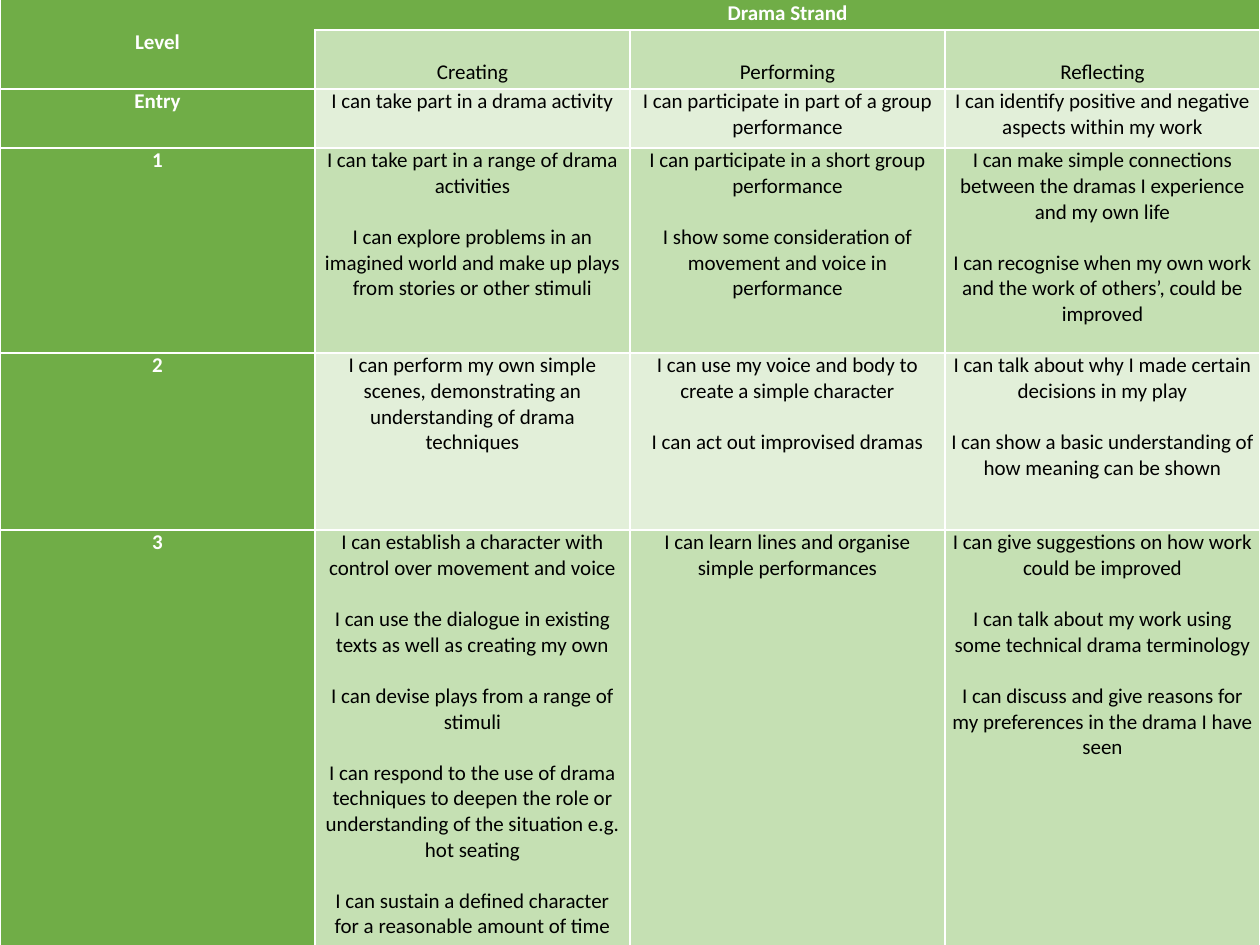
"""Build a drama progression grid with levels down the side and strands across."""
from dataclasses import dataclass

from lxml.etree import SubElement
from pptx import Presentation
from pptx.dml.color import RGBColor
from pptx.enum.text import MSO_ANCHOR as Anchor, PP_ALIGN as Align
from pptx.oxml.ns import qn
from pptx.util import Emu, Pt

PX_PER_INCH = 126
COLOURS = {
    "header": "70AD47",
    "band_dark": "C5E0B3",
    "band_light": "E2EFD9",
    "border": "FFFFFF",
    "header_text": "FFFFFF",
    "body_text": "000000",
}
COLUMN_WIDTH = 315
TABLE_TOP = -4
TITLE_HEIGHT = 34
STRAND_HEIGHT = 59
SIDE_MARGIN = 6
STRAND_MARGIN = 4
FONT_SIZE = 12
STATEMENT_GAP = 14.65
STRANDS = ["Creating", "Performing", "Reflecting"]


@dataclass(frozen=True)
class Level:
    name: str
    height: int
    statements: list[list[str]]


@dataclass(frozen=True)
class CellStyle:
    fill: str
    text: str = "body_text"
    bold: bool = False
    anchor: Anchor = Anchor.TOP
    bottom: int = 0
    open_sides: str = ""


LEVELS = [
    Level("Entry", 59, [
        ["I can take part in a drama activity"],
        ["I can participate in part of a group performance"],
        ["I can identify positive and negative aspects within my work"],
    ]),
    Level("1", 205, [
        ["I can take part in a range of drama activities",
         "I can explore problems in an imagined world and make up plays "
         "from stories or other stimuli"],
        ["I can participate in a short group performance",
         "I show some consideration of movement and voice in performance"],
        ["I can make simple connections between the dramas I experience "
         "and my own life",
         "I can recognise when my own work and the work of others’, "
         "could be improved"],
    ]),
    Level("2", 177, [
        ["I can perform my own simple scenes, demonstrating an "
         "understanding of drama techniques"],
        ["I can use my voice and body to create a simple character",
         "I can act out improvised dramas"],
        ["I can talk about why I made certain decisions in my play",
         "I can show a basic understanding of how meaning can be shown"],
    ]),
    Level("3", 440, [
        ["I can establish a character with control over movement and voice",
         "I can use the dialogue in existing texts as well as creating my own",
         "I can devise plays from a range of stimuli",
         "I can respond to the use of drama techniques to deepen the role or "
         "understanding of the situation e.g. hot seating",
         "I can sustain a defined character for a reasonable amount of time"],
        ["I can learn lines and organise simple performances"],
        ["I can give suggestions on how work could be improved",
         "I can talk about my work using some technical drama terminology",
         "I can discuss and give reasons for my preferences in the drama "
         "I have seen"],
    ]),
]


def px(length: int) -> Emu:
    """Turn a length in px into EMU."""
    return Emu(round(length * 914400 / PX_PER_INCH))


def add_borders(cell, open_sides: str) -> None:
    """Draw a white border on every side of a cell except the open ones."""
    properties = cell._tc.get_or_add_tcPr()
    for side in "LRTB":
        line = SubElement(properties, qn(f"a:ln{side}"), w=str(Pt(1)))
        if side in open_sides:
            SubElement(line, qn("a:noFill"))
        else:
            fill = SubElement(line, qn("a:solidFill"))
            SubElement(fill, qn("a:srgbClr"), val=COLOURS["border"])


def style_cell(cell, style: CellStyle) -> None:
    """Give a cell its borders, fill, margins and anchor."""
    add_borders(cell, style.open_sides)
    cell.fill.solid()
    cell.fill.fore_color.rgb = RGBColor.from_string(COLOURS[style.fill])
    cell.margin_left = cell.margin_right = px(SIDE_MARGIN)
    cell.margin_top = 0
    cell.margin_bottom = px(style.bottom)
    cell.vertical_anchor = style.anchor


def write_cell(cell, statements: list[str], style: CellStyle) -> None:
    """Style a cell and write one centred paragraph for each statement."""
    style_cell(cell, style)
    cell.text = "\n".join(statements)
    for index, para in enumerate(cell.text_frame.paragraphs):
        para.alignment = Align.CENTER
        para.space_before = Pt(STATEMENT_GAP if index else 0)
        para.font.name = "Calibri"
        para.font.size = Pt(FONT_SIZE)
        para.font.bold = style.bold
        para.font.color.rgb = RGBColor.from_string(COLOURS[style.text])


def write_headings(table) -> None:
    """Fill the two heading rows."""
    corner = CellStyle("header", "header_text", True, Anchor.MIDDLE, open_sides="R")
    title = CellStyle("header", "header_text", True, Anchor.MIDDLE, open_sides="L")
    strand = CellStyle("band_dark", anchor=Anchor.BOTTOM, bottom=STRAND_MARGIN)
    write_cell(table.cell(0, 0), ["Level"], corner)
    write_cell(table.cell(0, 1), ["Drama Strand"], title)
    style_cell(table.cell(1, 0), CellStyle("header"))
    for column in range(2, len(STRANDS) + 1):
        style_cell(table.cell(0, column), CellStyle("header"))
    for column, name in enumerate(STRANDS, start=1):
        write_cell(table.cell(1, column), [name], strand)
    table.cell(0, 0).merge(table.cell(1, 0))
    table.cell(0, 1).merge(table.cell(0, len(STRANDS)))


def write_level(table, row: int, level: Level) -> None:
    """Fill one level row with its name and its statements."""
    band = "band_dark" if row % 2 else "band_light"
    write_cell(table.cell(row, 0), [level.name], CellStyle("header", "header_text", True))
    for column, statements in enumerate(level.statements, start=1):
        write_cell(table.cell(row, column), statements, CellStyle(band))


def main() -> None:
    """Create the deck and save it."""
    deck = Presentation()
    deck.slide_width, deck.slide_height = px(1260), px(945)
    page = deck.slides.add_slide(deck.slide_layouts[6])
    heights = [TITLE_HEIGHT, STRAND_HEIGHT] + [level.height for level in LEVELS]
    columns = len(STRANDS) + 1
    table = page.shapes.add_table(
        len(heights), columns, 0, px(TABLE_TOP),
        px(COLUMN_WIDTH * columns), px(sum(heights)),
    ).table
    table.first_row = table.horz_banding = False
    for column in table.columns:
        column.width = px(COLUMN_WIDTH)
    for row, height in zip(table.rows, heights):
        row.height = px(height)
    write_headings(table)
    for row, level in enumerate(LEVELS, start=2):
        write_level(table, row, level)
    deck.save("out.pptx")


if __name__ == "__main__":
    main()
